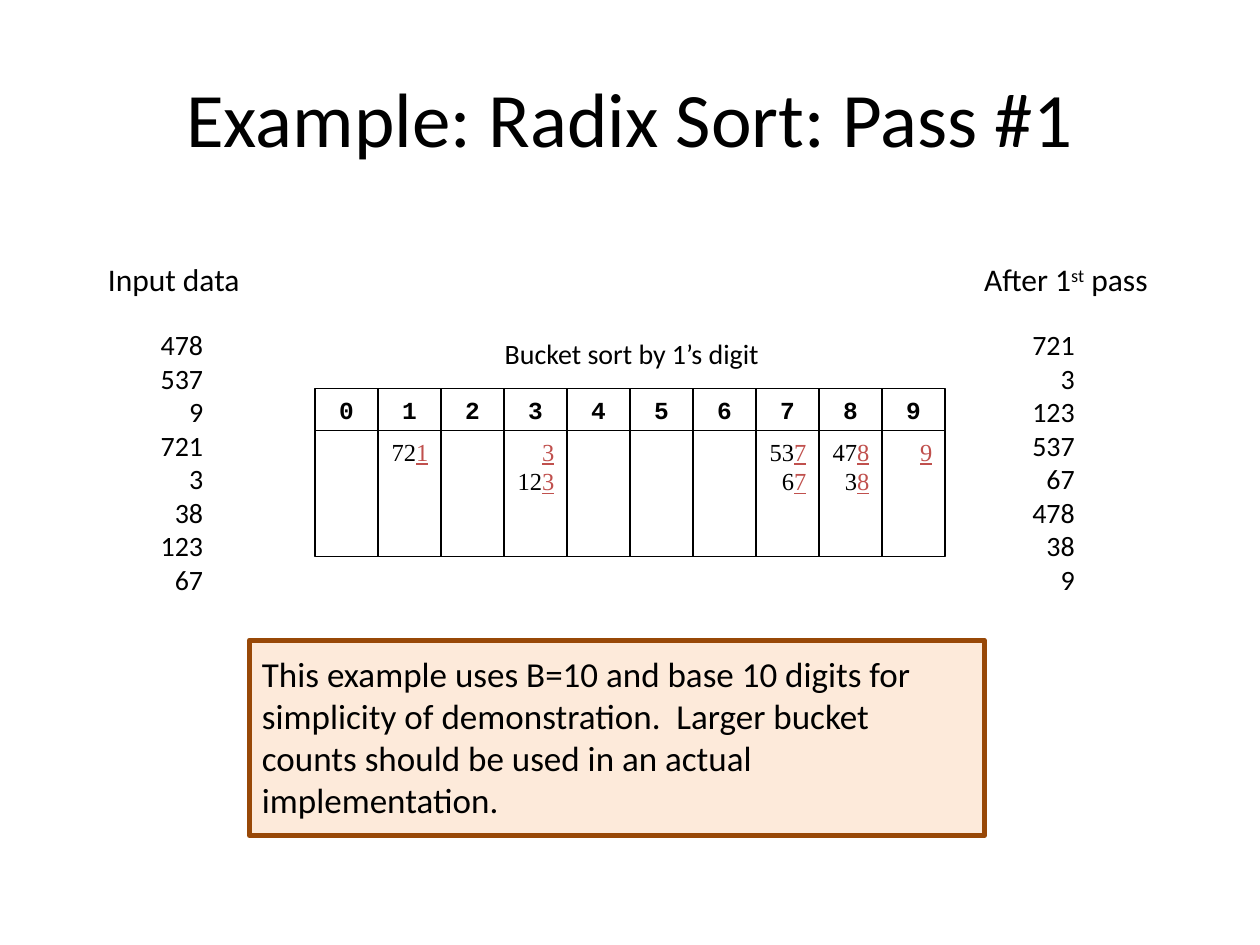
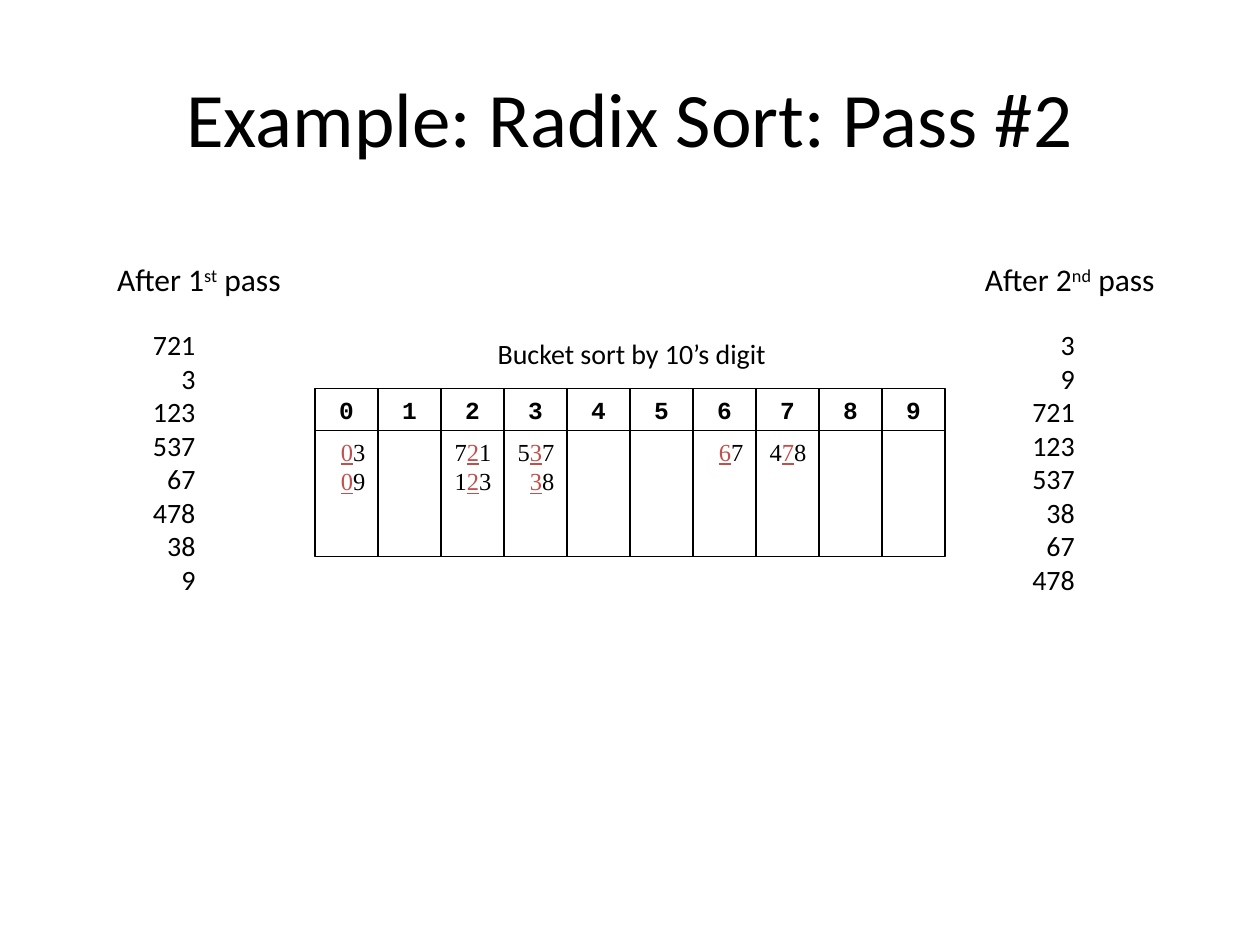
from pptx import Presentation
from pptx.dml.color import RGBColor
from pptx.enum.shapes import MSO_SHAPE
from pptx.enum.text import MSO_ANCHOR, MSO_AUTO_SIZE, PP_ALIGN
from pptx.util import Pt

# Shared style
BLACK, DIGIT_RED = "000000", "C0504D"
NOTE_FILL, NOTE_LINE = "FDEADA", "984807"
BODY_FONT, HEADER_FONT, BUCKET_FONT = "Calibri", "Courier New", "Times New Roman"
BASE = 10

INPUT_DATA = [478, 537, 9, 721, 3, 38, 123, 67]
INPUT_HEADING = ("Input data", "", "")
FIRST_HEADING = ("After 1", "st", " pass")
SECOND_HEADING = ("After 2", "nd", " pass")
NOTE = ("This example uses B=10 and base 10 digits for simplicity of demonstration.  "
        "Larger bucket counts should be used in an actual implementation.")


def color(hex_value):
    return RGBColor.from_string(hex_value)


def style(paragraph, size, font=BODY_FONT, align=PP_ALIGN.LEFT, bold=None):
    paragraph.alignment = align
    paragraph.font.size = Pt(size)
    paragraph.font.name = font
    paragraph.font.bold = bold
    paragraph.font.color.rgb = color(BLACK)


def paragraphs(frame, count):
    """Return the first paragraph of the frame and as many more as needed."""
    return [frame.paragraphs[0]] + [frame.add_paragraph() for _ in range(count - 1)]


def add_label(slide, left, top, width, height, wrap=False):
    frame = slide.shapes.add_textbox(Pt(left), Pt(top), Pt(width), Pt(height)).text_frame
    frame.word_wrap = wrap
    frame.auto_size = MSO_AUTO_SIZE.SHAPE_TO_FIT_TEXT
    return frame


def add_box(slide, left, top, width, height, line=BLACK, weight=0.75, fill=None):
    box = slide.shapes.add_shape(MSO_SHAPE.RECTANGLE, Pt(left), Pt(top), Pt(width), Pt(height))
    box.shadow.inherit = False
    box.line.color.rgb = color(line)
    box.line.width = Pt(weight)
    if fill:
        box.fill.solid()
        box.fill.fore_color.rgb = color(fill)
    else:
        box.fill.background()
    return box.text_frame


# Radix sort
def fill_buckets(numbers, place):
    buckets = [[] for _ in range(BASE)]
    for number in numbers:
        buckets[number // BASE ** place % BASE].append(number)
    return buckets


# Regions
def add_heading(slide, parts, left, width):
    frame = add_label(slide, left, 144, width, 31)
    frame.vertical_anchor = MSO_ANCHOR.MIDDLE
    paragraph = frame.paragraphs[0]
    style(paragraph, 18, align=PP_ALIGN.CENTER)
    for text, baseline in zip(parts, (None, "30000", None)):
        if text:
            run = paragraph.add_run()
            run.text = text
            if baseline:
                run._r.get_or_add_rPr().set("baseline", baseline)


def add_number_list(slide, numbers, left, width):
    frame = add_label(slide, left, 183.6, width, 161.5)
    for paragraph, number in zip(paragraphs(frame, len(numbers)), numbers):
        paragraph.text = str(number)
        style(paragraph, 16, align=PP_ALIGN.RIGHT)


def add_marked_number(paragraph, number, place):
    """Write the number with the digit at the given place underlined in red."""
    digits = str(number).zfill(place + 1)
    mark = len(digits) - 1 - place
    style(paragraph, 14, BUCKET_FONT, PP_ALIGN.RIGHT)
    for text, marked in ((digits[:mark], False), (digits[mark], True), (digits[mark + 1:], False)):
        if text:
            run = paragraph.add_run()
            run.text = text
            if marked:
                run.font.underline = True
                run.font.color.rgb = color(DIGIT_RED)


def add_bucket_grid(slide, buckets, place, left=180, top=222, column=36, header=24, depth=72):
    caption = add_label(slide, left + 2, top - 33.5, BASE * column - 2, 26.6, wrap=True).paragraphs[0]
    caption.text = f"Bucket sort by {BASE ** place}’s digit"
    style(caption, 16, align=PP_ALIGN.CENTER)

    for digit, bucket in enumerate(buckets):
        x = left + digit * column
        head = add_box(slide, x, top, column, header)
        head.word_wrap = False
        head.vertical_anchor = MSO_ANCHOR.MIDDLE
        head.paragraphs[0].text = str(digit)
        style(head.paragraphs[0], 14, HEADER_FONT, PP_ALIGN.CENTER, bold=True)

        cell = add_box(slide, x, top + header, column, depth)
        cell.word_wrap = False
        cell.vertical_anchor = MSO_ANCHOR.TOP
        for paragraph, number in zip(paragraphs(cell, len(bucket)), bucket):
            add_marked_number(paragraph, number, place)


def add_note(slide, text, left=142.6, top=365.8, width=419.8, height=111.6):
    frame = add_box(slide, left, top, width, height, NOTE_LINE, 3, NOTE_FILL)
    frame.word_wrap = True
    frame.vertical_anchor = MSO_ANCHOR.TOP
    frame.margin_left = frame.margin_right = frame.margin_top = frame.margin_bottom = Pt(7.2)
    frame.paragraphs[0].text = text
    style(frame.paragraphs[0], 20)


def add_pass_slide(deck, place, numbers, before, after):
    """Draw one pass; before and after give heading, heading box and list box (left, width)."""
    slide = deck.slides.add_slide(deck.slide_layouts[5])
    title = slide.shapes.title
    title.left, title.top, title.width, title.height = Pt(36), Pt(21.6), Pt(648), Pt(90)
    title.text = f"Example: Radix Sort: Pass #{place + 1}"
    style(title.text_frame.paragraphs[0], 44, align=PP_ALIGN.CENTER)

    buckets = fill_buckets(numbers, place)
    result = [number for bucket in buckets for number in bucket]
    add_bucket_grid(slide, buckets, place)
    for (heading, heading_box, list_box), column in ((before, numbers), (after, result)):
        add_heading(slide, heading, *heading_box)
        add_number_list(slide, column, *list_box)
    return slide, result


def main():
    deck = Presentation()
    deck.slide_width, deck.slide_height = Pt(720), Pt(540)

    right_list = (580.3, 41)
    first, after_first = add_pass_slide(
        deck, 0, INPUT_DATA,
        (INPUT_HEADING, (47.5, 103.7), (77.8, 45.4)),
        (FIRST_HEADING, (543.6, 131), right_list))
    add_note(first, NOTE)

    add_pass_slide(
        deck, 1, after_first,
        (FIRST_HEADING, (48.2, 131), (77.8, 41)),
        (SECOND_HEADING, (543.6, 135.4), right_list))

    deck.save("out.pptx")


if __name__ == "__main__":
    main()
